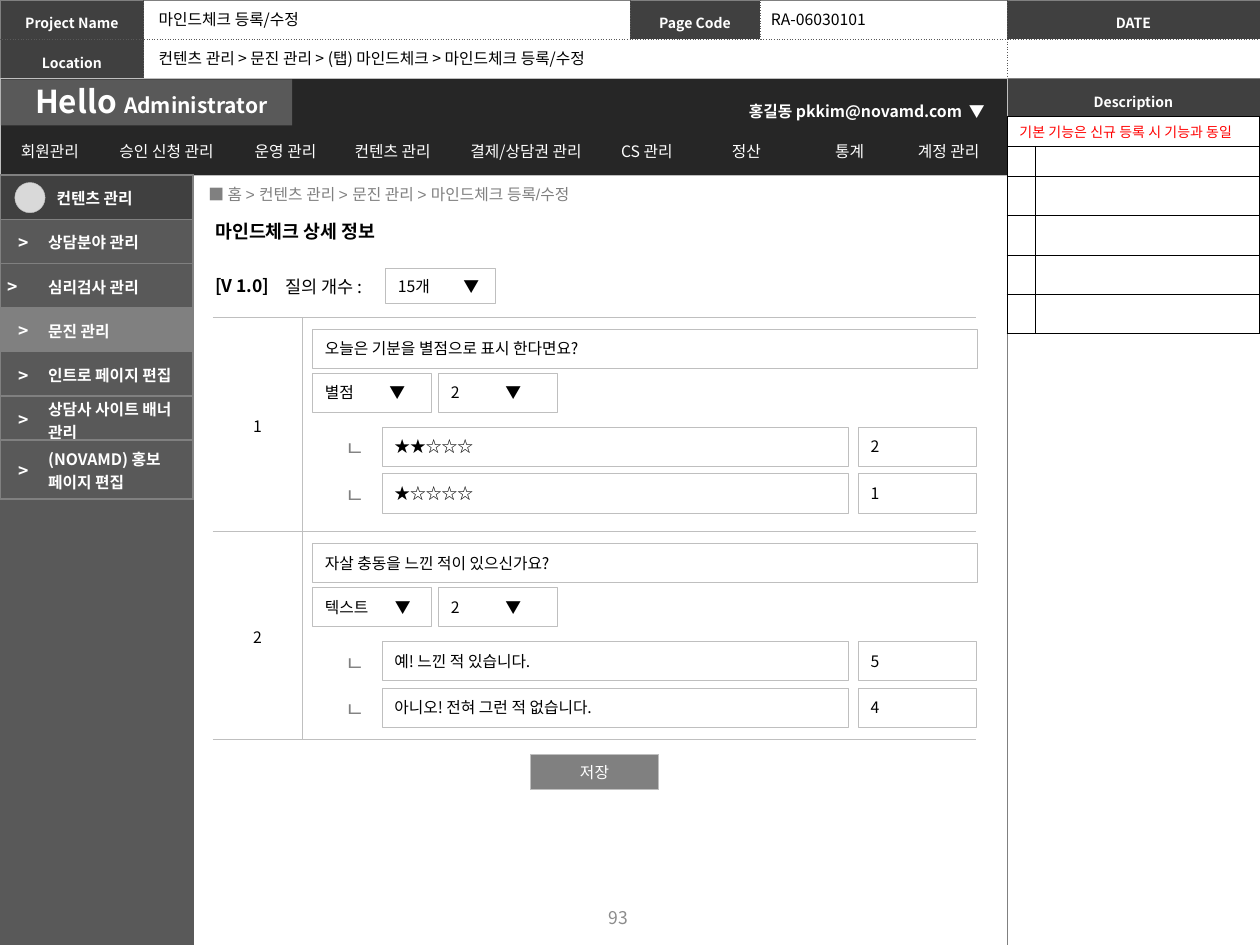
"""Build the wireframe page for editing a mind check questionnaire."""
from lxml import etree
from pptx import Presentation
from pptx.dml.color import RGBColor
from pptx.enum.shapes import MSO_SHAPE
from pptx.enum.text import MSO_ANCHOR, PP_ALIGN
from pptx.oxml.ns import qn
from pptx.util import Cm, Pt

RECTANGLE, OVAL = MSO_SHAPE.RECTANGLE, MSO_SHAPE.OVAL
TOP, MIDDLE = MSO_ANCHOR.TOP, MSO_ANCHOR.MIDDLE
LEFT, CENTER = PP_ALIGN.LEFT, PP_ALIGN.CENTER

FONT = "Noto Sans CJK KR"
NO_STYLE = "{2D5ABB26-0587-4C30-8999-92F81FD0307C}"
BLACK = RGBColor(0x00, 0x00, 0x00)
WHITE = RGBColor(0xFF, 0xFF, 0xFF)
RED = RGBColor(0xFF, 0x00, 0x00)
NIGHT = RGBColor(0x26, 0x26, 0x26)
DARK = RGBColor(0x40, 0x40, 0x40)
SLATE = RGBColor(0x59, 0x59, 0x59)
GRAY = RGBColor(0x80, 0x80, 0x80)
PAGE_GRAY = RGBColor(0x8C, 0x8C, 0x8C)
SILVER = RGBColor(0xBF, 0xBF, 0xBF)
PALE = RGBColor(0xD9, 0xD9, 0xD9)

SOLID = (GRAY, 0.5, "solid")
DOTTED = (SLATE, 0.5, "sysDot")
HAIR = (SILVER, 0.5, "solid")
INK = (BLACK, 0.5, "solid")
MENU_LINE = (GRAY, 1, "solid")
NAV_LINE = (NIGHT, 1, "solid")

TITLE = "마인드체크 상세 정보"
HEADER_VALUES = [
    ("마인드체크 등록/수정", (2.95, 0.08, 3.63, 0.64)),
    ("RA-06030101", (15.29, 0.08, 2.49, 0.64)),
    ("컨텐츠 관리 > 문진 관리 > (탭) 마인드체크 > 마인드체크 등록/수정", (2.95, 0.86, 10.31, 0.64)),
]
NAVIGATION = [
    ("회원관리", 1.91), ("승인 신청 관리", 2.79), ("운영 관리", 2.01),
    ("컨텐츠 관리", 2.31), ("결제/상담권 관리", 3.07), ("CS 관리", 1.8),
    ("정산", 2.21), ("통계", 1.96), ("계정 관리", 2.03),
]
MENU = ["상담분야 관리", "심리검사 관리", "문진 관리", "인트로 페이지 편집",
        "상담사 사이트 배너 관리", "(NOVAMD) 홍보 페이지 편집"]
SHIFTED_ITEM, ACTIVE_ITEM = "심리검사 관리", "문진 관리"
QUESTIONS = [
    {"text": "오늘은 기분을 별점으로 표시 한다면요?", "type": "별점", "tab": 1.3,
     "answers": [("★★☆☆☆", "2"), ("★☆☆☆☆", "1")]},
    {"text": "자살 충동을 느낀 적이 있으신가요?", "type": "텍스트", "tab": 1.41,
     "answers": [("예! 느낀 적 있습니다.", "5"), ("아니오! 전혀 그런 적 없습니다.", "4")]},
]
QUESTION_TOP, QUESTION_HEIGHTS = 6.4, [4.32, 4.19]
FIELD_HEIGHT, SMALL_WIDTH = 0.79, 2.39


def write(frame, content, size=9, color=BLACK, bold=False, align=LEFT, spacing=None,
          font=FONT, tab=None):
    """Fill the first paragraph with a string or a list of (text, size) spans."""
    para = frame.paragraphs[0]
    para.alignment = align
    if spacing:
        para.line_spacing = spacing
    if tab:
        stops = etree.SubElement(para._p.get_or_add_pPr(), qn("a:tabLst"))
        etree.SubElement(stops, qn("a:tab"), pos=str(Cm(tab)), algn="l")
    for text, points in [(content, size)] if isinstance(content, str) else content:
        span = para.add_run()
        span.text = text
        span.font.size = Pt(points)
        span.font.bold = bold
        span.font.color.rgb = color
        span.font.name = font
        etree.SubElement(span._r.get_or_add_rPr(), qn("a:ea"), typeface=FONT)


def label(page, content, place, wrap=False, anchor=TOP, **style):
    frame = page.shapes.add_textbox(*map(Cm, place)).text_frame
    frame.word_wrap = wrap
    frame.vertical_anchor = anchor
    write(frame, content, **style)


def box(page, place, content="", fill=WHITE, line=SILVER, kind=RECTANGLE, **style):
    shape = page.shapes.add_shape(kind, *map(Cm, place))
    shape.shadow.inherit = False
    shape.fill.solid()
    shape.fill.fore_color.rgb = fill
    if line is None:
        shape.line.fill.background()
    else:
        shape.line.color.rgb = line
        shape.line.width = Pt(0.25)
    if content:
        shape.text_frame.vertical_anchor = MIDDLE
        shape.text_frame.word_wrap = True
        write(shape.text_frame, content, **style)


def draw_border(cell, side, pen):
    color, width, dash = pen
    line = etree.SubElement(cell._tc.get_or_add_tcPr(), qn(f"a:ln{side}"), w=str(Pt(width)))
    paint = etree.SubElement(line, qn("a:solidFill"))
    etree.SubElement(paint, qn("a:srgbClr"), val=str(color))
    etree.SubElement(line, qn("a:prstDash"), val=dash)


def grid(page, corner, widths, heights, cells, sides=None, ends=None, across=None, down=None,
         margins=(0.1, 0.1, 0.1, 0.1), merge=None, **style):
    """Add a table; each cell is a dict of text, fill, margins and text format."""
    place = (*corner, sum(widths), sum(heights))
    table = page.shapes.add_table(len(heights), len(widths), *map(Cm, place)).table
    table.first_row = table.horz_banding = False
    table._tbl.tblPr[0].text = NO_STYLE
    for column, width in zip(table.columns, widths):
        column.width = Cm(width)
    for row, height in zip(table.rows, heights):
        row.height = Cm(height)
    last_row, last_column = len(heights) - 1, len(widths) - 1
    for y, row in enumerate(cells):
        for x, content in enumerate(row):
            cell = table.cell(y, x)
            details = {**style, **content}
            text, fill = details.pop("text", ""), details.pop("fill", None)
            insets = details.pop("margins", margins)
            (cell.margin_left, cell.margin_top,
             cell.margin_right, cell.margin_bottom) = map(Cm, insets)
            cell.vertical_anchor = MIDDLE
            pens = {"L": down if x else sides, "R": sides if x == last_column else down,
                    "T": across if y else ends, "B": ends if y == last_row else across}
            for side, pen in pens.items():
                if pen:
                    draw_border(cell, side, pen)
            if fill is None:
                cell.fill.background()
            else:
                cell.fill.solid()
                cell.fill.fore_color.rgb = fill
            if text:
                write(cell.text_frame, text, **details)
            else:
                etree.SubElement(cell.text_frame.paragraphs[0]._p, qn("a:endParaRPr"), sz="800")
    if merge:
        start, end = merge
        table.cell(*start).merge(table.cell(*end))


def heading(text):
    return {"text": text, "fill": DARK}


def add_header(page):
    bold = dict(size=8, color=WHITE, bold=True, align=CENTER, spacing=1.3)
    cells = [[heading("Project Name"), {}, heading("Page Code"), {}, heading("DATE")],
             [heading("Location"), {}, {}, {}, {}]]
    grid(page, (0, 0), [2.9, 9.8, 2.62, 4.98, 5.1], [0.79, 0.79], cells, SOLID, SOLID,
         DOTTED, DOTTED, merge=((1, 1), (1, 3)), **bold)
    grid(page, (20.3, 1.58), [5.1], [0.79, 16.68], [[heading("Description")], [{}]],
         SOLID, SOLID, DOTTED, **bold)
    box(page, (0, 1.58, 20.3, 1.96), fill=NIGHT)
    box(page, (0.02, 1.6, 5.87, 0.93), fill=SLATE, line=None)
    label(page, [("Hello ", 18), ("Administrator", 12)], (0.46, 1.53, 5.31, 1.02),
          color=WHITE, bold=True)
    names, widths = zip(*NAVIGATION)
    grid(page, (0.05, 2.64), widths, [0.79], [[{"text": name} for name in names]],
         NAV_LINE, NAV_LINE, NAV_LINE, NAV_LINE, color=WHITE, align=CENTER)
    user = dict(color=WHITE, bold=True, spacing=1.2)
    label(page, "홍길동 pkkim@novamd.com", (14.78, 1.85, 4.93, 0.67), align=CENTER, **user)
    label(page, "▼", (19.28, 1.85, 0.84, 0.67), **user)
    for text, place in HEADER_VALUES:
        label(page, text, place)


def add_questions(page):
    numbers = [[{"text": str(n + 1), "fill": WHITE}, {}] for n in range(len(QUESTIONS))]
    grid(page, (4.29, QUESTION_TOP), [1.8, 13.59], QUESTION_HEIGHTS, numbers, ends=HAIR,
         across=HAIR, down=HAIR, margins=(0.03, 0.03, 0.03, 0), align=CENTER)
    for index, question in enumerate(QUESTIONS):
        top = QUESTION_TOP + sum(QUESTION_HEIGHTS[:index])
        box(page, (6.3, top + 0.23, 13.41, FIELD_HEIGHT), question["text"])
        box(page, (6.3, top + 1.12, SMALL_WIDTH, FIELD_HEIGHT), question["type"] + "\t▼",
            tab=question["tab"])
        box(page, (8.84, top + 1.12, SMALL_WIDTH, FIELD_HEIGHT), "2\t▼", tab=1.1)
        for line, (answer, score) in enumerate(question["answers"]):
            y = top + 2.21 + 0.94 * line
            label(page, "ㄴ", (6.71, y + 0.05, 0.94, 0.76), size=12, color=GRAY)
            box(page, (7.7, y, 9.4, FIELD_HEIGHT), answer)
            box(page, (17.3, y, SMALL_WIDTH, FIELD_HEIGHT), score)


def add_menu(page):
    box(page, (0, 3.51, 3.91, 15.54), fill=SLATE, line=None)
    rows = [[{"fill": DARK},
             {"text": "컨텐츠 관리", "fill": DARK, "margins": (0.2, 0.03, 0.03, 0)}]]
    for name in MENU:
        fill = GRAY if name == ACTIVE_ITEM else SLATE
        right = 0.46 if name == SHIFTED_ITEM else 0.03
        rows.append([{"text": ">", "size": 10, "align": CENTER, "fill": fill,
                      "margins": (0.03, 0.03, right, 0)}, {"text": name, "fill": fill}])
    grid(page, (0, 3.53), [0.94, 2.95], [0.89] * 6 + [1.19], rows, MENU_LINE, MENU_LINE,
         MENU_LINE, margins=(0.03, 0.03, 0.03, 0), color=WHITE, bold=True)
    box(page, (0.3, 3.68, 0.61, 0.61), fill=PALE, kind=OVAL)


def add_notes_table(page):
    cells = [[{"fill": WHITE} for _ in range(2)] for _ in range(6)]
    cells[0][0] = {"text": "기본 기능은 신규 등록 시 기능과 동일", "fill": WHITE}
    grid(page, (20.3, 2.34), [0.58, 4.5], [0.61] * 2 + [0.79] * 4, cells, INK, INK, INK, INK,
         margins=(0.25, 0.05, 0.05, 0.05), merge=((0, 0), (0, 1)), size=8, color=RED)


def main():
    deck = Presentation()
    deck.slide_width, deck.slide_height = Cm(25.4), Cm(19.05)
    page = deck.slides.add_slide(deck.slide_layouts[5])
    title = page.shapes.title
    title.left, title.top, title.width, title.height = map(Cm, (4.09, 4.32, 6, 0.71))
    title.text_frame.vertical_anchor = TOP
    write(title.text_frame, TITLE, size=10.5, bold=True)
    add_header(page)
    label(page, "■ 홈 > 컨텐츠 관리 > 문진 관리 > 마인드체크 등록/수정", (3.95, 3.48, 15.56, 0.86),
          wrap=True, anchor=MIDDLE, color=GRAY, font="Arial")
    label(page, "[V 1.0]", (4.09, 5.41, 1.65, 0.69), size=10, bold=True)
    label(page, "질의 개수 :", (5.51, 5.44, 2.26, 0.69), size=10)
    box(page, (7.77, 5.41, 2.21, 0.71), "15개\t▼", tab=1.32)
    add_questions(page)
    box(page, (10.69, 15.21, 2.59, 0.71), "저장", fill=GRAY, color=WHITE, align=CENTER)
    add_menu(page)
    label(page, "93", (9.5, 17.98, 5.92, 1.02), wrap=True, anchor=MIDDLE, size=10,
          color=PAGE_GRAY, align=CENTER)
    add_notes_table(page)
    deck.save("out.pptx")


if __name__ == "__main__":
    main()
